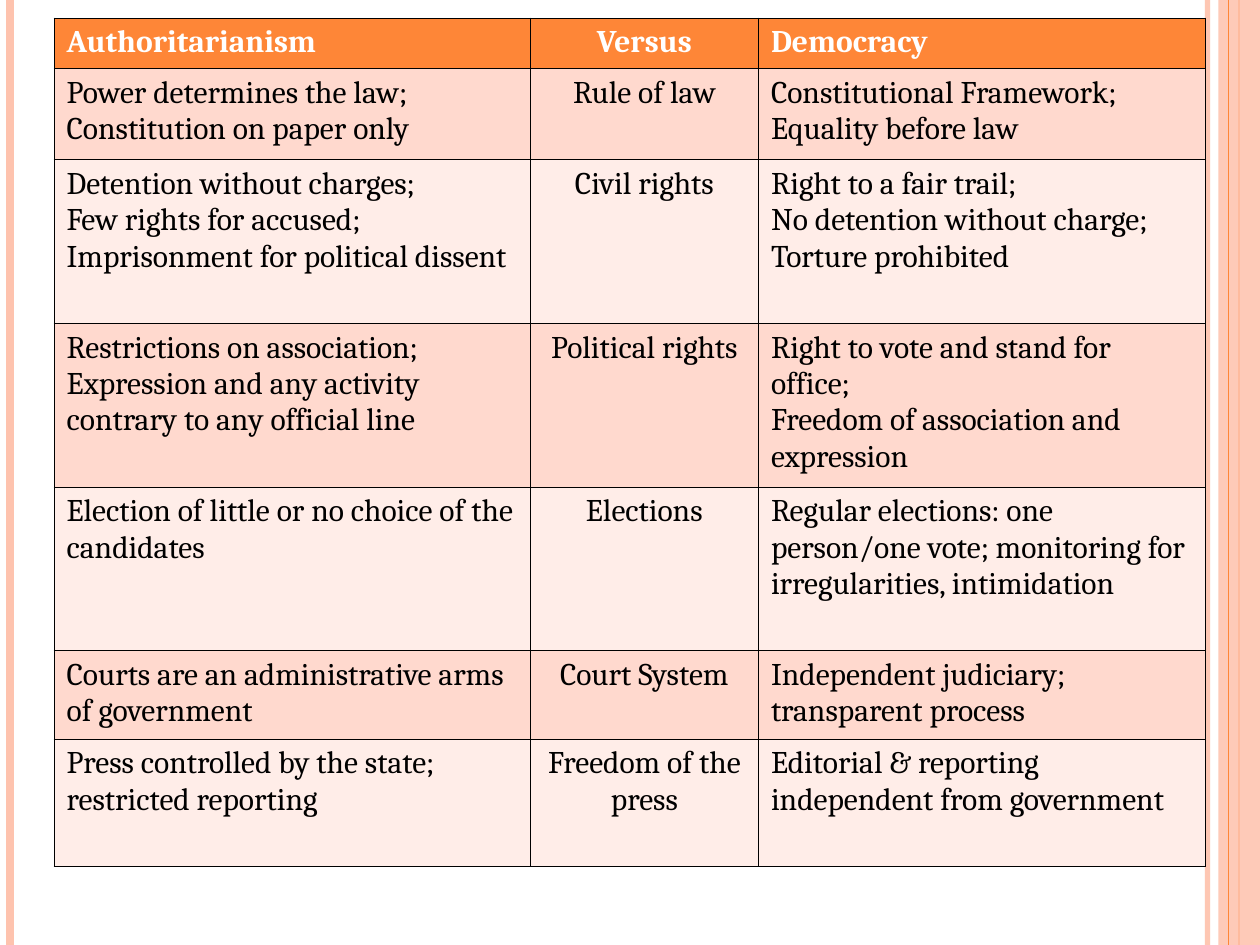
from dataclasses import dataclass

from lxml import etree
from pptx import Presentation
from pptx.dml.color import RGBColor
from pptx.enum import shapes, text
from pptx.oxml import ns
from pptx.util import Cm, Pt


@dataclass(frozen=True)
class Theme:
    orange: str = "FE8637"
    peach: str = "FEC3AE"
    band_dark: str = "FFD9CE"
    band_light: str = "FFEDE8"
    white: str = "FFFFFF"
    black: str = "000000"
    font: str = "Cambria"
    text_size: float = 18
    border_width: float = 0.45


@dataclass(frozen=True)
class Stripe:
    x: float
    color: str
    width: float
    opacity: int = 100


@dataclass(frozen=True)
class Row:
    height: float
    authoritarianism: str
    topic: str
    democracy: str


THEME = Theme()
SLIDE_WIDTH, SLIDE_HEIGHT = 25.4, 19.05
TABLE_LEFT, TABLE_TOP = 1.09, 0.36
COLUMN_WIDTHS = (9.6, 4.6, 9.0)
BAND_LEFT, BAND_OPACITY = 24.56, 87

OUTER_STRIPES = (
    Stripe(24.34, THEME.peach, 3, 93),
    Stripe(0.21, THEME.peach, 4.5),
    Stripe(24.98, THEME.orange, 1.5),
)
BAND_STRIPE = Stripe(24.77, THEME.orange, 0.75)

ROWS = (
    Row(1.02, "Authoritarianism", "Versus", "Democracy"),
    Row(1.84, "Power determines the law;\nConstitution on paper only", "Rule of law",
        "Constitutional Framework;\nEquality before law"),
    Row(3.3, "Detention without charges;\nFew rights for accused;\n"
        "Imprisonment for political dissent", "Civil rights",
        "Right to a fair trail;\nNo detention without charge;\nTorture prohibited"),
    Row(3.3, "Restrictions on association;\n"
        "Expression and any activity contrary to any official line", "Political rights",
        "Right to vote and stand for office;\nFreedom of association and expression"),
    Row(3.3, "Election of little or no choice of the candidates", "Elections",
        "Regular elections: one person/one vote; monitoring for irregularities, intimidation"),
    Row(1.78, "Courts are an administrative arms of government", "Court System",
        "Independent judiciary; transparent process"),
    Row(2.57, "Press controlled by the state; restricted reporting", "Freedom of the press",
        "Editorial & reporting independent from government"),
)


def set_opacity(shape, percent: int) -> None:
    color = shape._element.spPr.find(".//" + ns.qn("a:srgbClr"))
    etree.SubElement(color, ns.qn("a:alpha"), val=str(percent * 1000))


def add_stripe(slide, stripe: Stripe) -> None:
    """Draw a vertical line over the full slide height."""
    line = slide.shapes.add_connector(
        shapes.MSO_CONNECTOR.STRAIGHT, Cm(stripe.x), Cm(0), Cm(stripe.x), Cm(SLIDE_HEIGHT))
    line.line.color.rgb = RGBColor.from_string(stripe.color)
    line.line.width = Pt(stripe.width)
    if stripe.opacity < 100:
        set_opacity(line, stripe.opacity)
    etree.SubElement(line._element.spPr, ns.qn("a:effectLst"))


def add_band(slide) -> None:
    band = slide.shapes.add_shape(
        shapes.MSO_SHAPE.RECTANGLE, Cm(BAND_LEFT), Cm(0),
        Cm(SLIDE_WIDTH - BAND_LEFT), Cm(SLIDE_HEIGHT))
    band.shadow.inherit = False
    band.fill.solid()
    band.fill.fore_color.rgb = RGBColor.from_string(THEME.peach)
    band.line.fill.background()
    set_opacity(band, BAND_OPACITY)


def add_borders(cell) -> None:
    properties = cell._tc.get_or_add_tcPr()
    for index, side in enumerate(("lnL", "lnR", "lnT", "lnB")):
        border = etree.Element(ns.qn("a:" + side), w=str(Pt(THEME.border_width)))
        fill = etree.SubElement(border, ns.qn("a:solidFill"))
        etree.SubElement(fill, ns.qn("a:srgbClr"), val=THEME.black)
        properties.insert(index, border)


def fill_cell(cell, wording: str, fill: str, centred: bool, header: bool) -> None:
    cell.fill.solid()
    cell.fill.fore_color.rgb = RGBColor.from_string(fill)
    add_borders(cell)
    cell.text_frame.text = wording
    for paragraph in cell.text_frame.paragraphs:
        paragraph.alignment = text.PP_ALIGN.CENTER if centred else text.PP_ALIGN.LEFT
        for run in paragraph.runs:
            run.font.name = THEME.font
            run.font.size = Pt(THEME.text_size)
            run.font.bold = header
            run.font.color.rgb = RGBColor.from_string(THEME.white if header else THEME.black)


def add_comparison(slide) -> None:
    table = slide.shapes.add_table(
        len(ROWS), len(COLUMN_WIDTHS), Cm(TABLE_LEFT), Cm(TABLE_TOP),
        Cm(sum(COLUMN_WIDTHS)), Cm(sum(row.height for row in ROWS))).table
    for column, width in zip(table.columns, COLUMN_WIDTHS):
        column.width = Cm(width)
    for r, row in enumerate(ROWS):
        table.rows[r].height = Cm(row.height)
        header = r == 0
        band = THEME.band_dark if r % 2 else THEME.band_light
        for c, wording in enumerate((row.authoritarianism, row.topic, row.democracy)):
            fill_cell(table.cell(r, c), wording, THEME.orange if header else band,
                      centred=c == 1, header=header)


def main() -> None:
    presentation = Presentation()
    presentation.slide_width = Cm(SLIDE_WIDTH)
    presentation.slide_height = Cm(SLIDE_HEIGHT)
    slide = presentation.slides.add_slide(presentation.slide_layouts[6])
    for stripe in OUTER_STRIPES:
        add_stripe(slide, stripe)
    add_band(slide)
    add_stripe(slide, BAND_STRIPE)
    add_comparison(slide)
    presentation.save("out.pptx")


if __name__ == "__main__":
    main()
